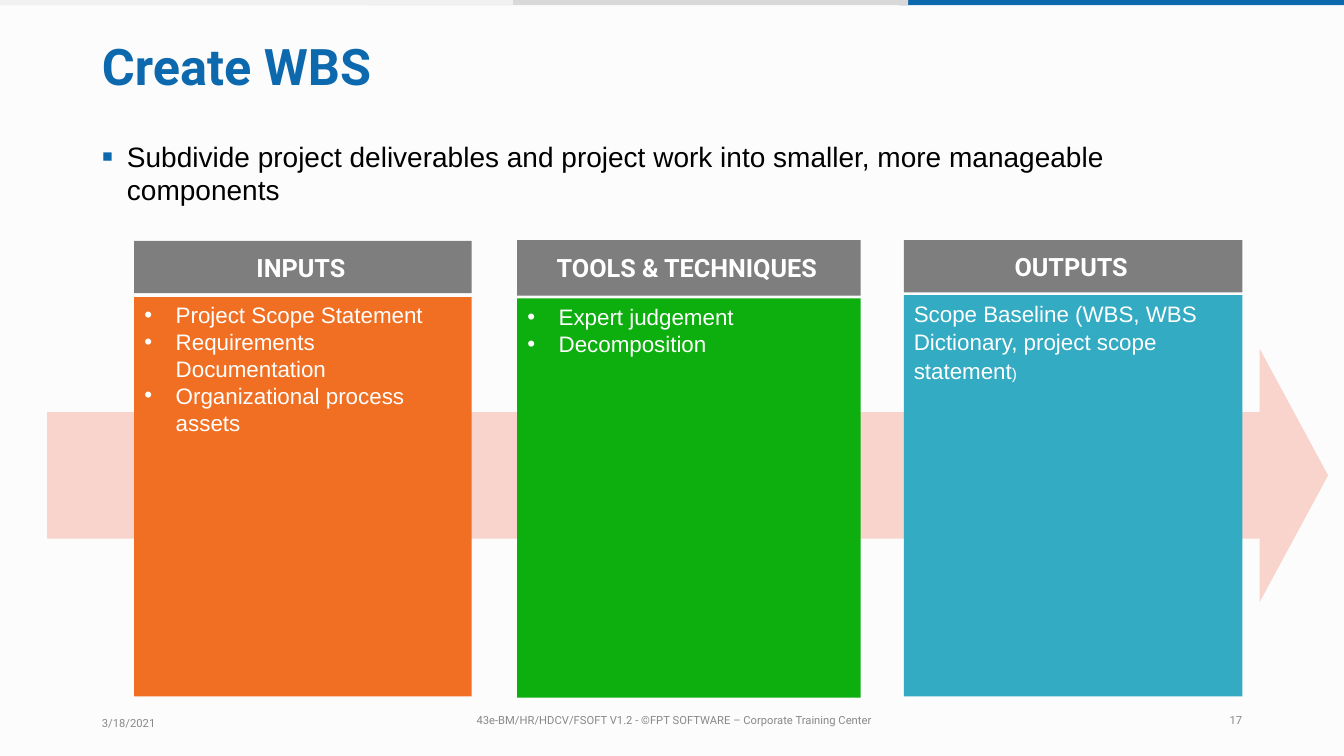
from lxml.etree import SubElement
from pptx import Presentation
from pptx.dml.color import RGBColor
from pptx.enum.shapes import MSO_SHAPE
from pptx.enum.text import MSO_ANCHOR, PP_ALIGN
from pptx.oxml.ns import qn
from pptx.util import Cm, Pt

BLUE, GREY, WHITE = "0D69AE", "7E7E7E", "FFFFFF"
TITLE = {"name": "Roboto", "size": Pt(36), "bold": True}
LEAD = {"name": "Arial", "size": Pt(20)}
HEADING = {"name": "Roboto", "size": Pt(18), "bold": True}
BODY = {"name": "Arial", "size": Pt(16)}
FOOTER = {"name": "Roboto", "size": Pt(8)}

COLUMNS = [
    {"title": "INPUTS", "color": "F16F22", "left": 3.38, "width": 8.51,
     "head": (6.07, 1.32, 0.28), "body": (7.49, 10.06, 0.1), "bullets": True,
     "items": ["Project Scope Statement", "Requirements Documentation",
               "Organizational process assets"]},
    {"title": "TOOLS & TECHNIQUES", "color": "0DAF0E", "left": 13.03, "width": 8.66,
     "head": (6.05, 1.4, 0.3), "body": (7.52, 10.06, 0.13), "bullets": True,
     "items": ["Expert judgement", "Decomposition"]},
    {"title": "OUTPUTS", "color": "33ABC3", "left": 22.78, "width": 8.53,
     "head": (6.05, 1.32, 0.28), "body": (7.44, 10.11, 0.08), "bullets": False,
     "items": ["Scope Baseline (WBS, WBS Dictionary, project scope statement"]},
]


def rgb(color):
    return RGBColor.from_string(color)


def add_block(page, box, color, kind=MSO_SHAPE.RECTANGLE):
    block = page.shapes.add_shape(kind, *map(Cm, box))
    block.shadow.inherit = False
    block.fill.solid()
    block.fill.fore_color.rgb = rgb(color)
    block.line.fill.background()
    return block


def set_frame(frame, top=0.03, left=0, right=0):
    formats = {"word_wrap": True, "vertical_anchor": MSO_ANCHOR.TOP,
               "margin_left": Cm(left), "margin_right": Cm(right),
               "margin_top": Cm(top), "margin_bottom": 0}
    for name, value in formats.items():
        setattr(frame, name, value)


def add_span(para, text, formats, color):
    span = para.add_run()
    span.text = text
    for name, value in formats.items():
        setattr(span.font, name, value)
    span.font.color.rgb = rgb(color)


def add_bullet(para, mark, margin, hanging, color=None, percent=100):
    props = para._p.get_or_add_pPr()
    props.set("marL", str(Cm(margin)))
    props.set("indent", str(-Cm(hanging)))
    if color:
        SubElement(SubElement(props, qn("a:buClr")), qn("a:srgbClr")).set("val", color)
    SubElement(props, qn("a:buSzPct")).set("val", str(percent * 1000))
    SubElement(props, qn("a:buFont")).set("typeface", "Arial")
    SubElement(props, qn("a:buChar")).set("char", mark)


def add_label(page, box, text, formats, color, top=0.03, left=0):
    frame = page.shapes.add_textbox(*map(Cm, box)).text_frame
    set_frame(frame, top, left)
    para = frame.paragraphs[0]
    add_span(para, text, formats, color)
    return para


def add_top_band(page, width):
    for left, right, color in [(22.66, width, BLUE), (9.25, 22.89, "D9D9D9"),
                               (0, 12.93, "F1F1F1")]:
        add_block(page, (left, 0, right - left, 0.13), color)


def add_arrow(page, box):
    arrow = add_block(page, box, "F9D4CC", MSO_SHAPE.RIGHT_ARROW)
    arrow.adjustments[0] = 0.5
    arrow.adjustments[1] = 0.27


def add_intro(page, left, top):
    add_label(page, (left, top, 18.06, 1.6), "Create WBS", TITLE, BLUE, left=0.03)
    para = add_label(page, (left, top + 2.62, 25.6, 1.75),
                     "Subdivide project deliverables and project work into smaller, "
                     "more manageable components", LEAD, "000000")
    add_bullet(para, "▪", 0.66, 0.64, BLUE, 120)


def add_column(page, column):
    left, width = column["left"], column["width"]
    top, height, inset = column["body"]
    frame = add_block(page, (left, top, width, height), column["color"]).text_frame
    set_frame(frame, inset, 0 if column["bullets"] else 0.25,
              0.76 if column["bullets"] else 0)
    for index, item in enumerate(column["items"]):
        para = frame.add_paragraph() if index else frame.paragraphs[0]
        para.alignment = PP_ALIGN.LEFT
        if column["bullets"]:
            add_bullet(para, "•", 1.05, 0.79)
        else:
            para.line_spacing = 1.06
        add_span(para, item, BODY, WHITE)
    if not column["bullets"]:
        add_span(para, ")", {**BODY, "size": Pt(11)}, WHITE)

    top, height, inset = column["head"]
    frame = add_block(page, (left, top, width, height), GREY).text_frame
    set_frame(frame, inset, right=0.1)
    para = frame.paragraphs[0]
    para.alignment = PP_ALIGN.CENTER
    add_span(para, column["title"], HEADING, WHITE)


def add_footer(page, top):
    for left, drop, width, text in [
            (2.57, 0.08, 2, "3/18/2021"),
            (12.01, 0, 11, "43e-BM/HR/HDCV/FSOFT V1.2 - ©FPT SOFTWARE – "
                           "Corporate Training Center"),
            (30.99, 0, 1, "17")]:
        add_label(page, (left, top + drop, width, 0.45), text, FOOTER, "888888", 0.05)


def main():
    deck = Presentation()
    deck.slide_width, deck.slide_height = Cm(33.87), Cm(19.05)
    page = deck.slides.add_slide(deck.slide_layouts[6])
    page.background.fill.solid()
    page.background.fill.fore_color.rgb = rgb("FCFCFC")
    add_top_band(page, 33.87)
    add_arrow(page, (1.19, 8.79, 32.28, 6.38))
    add_intro(page, 2.54, 0.86)
    for column in COLUMNS:
        add_column(page, column)
    add_footer(page, 17.93)
    deck.save("out.pptx")


if __name__ == "__main__":
    main()
